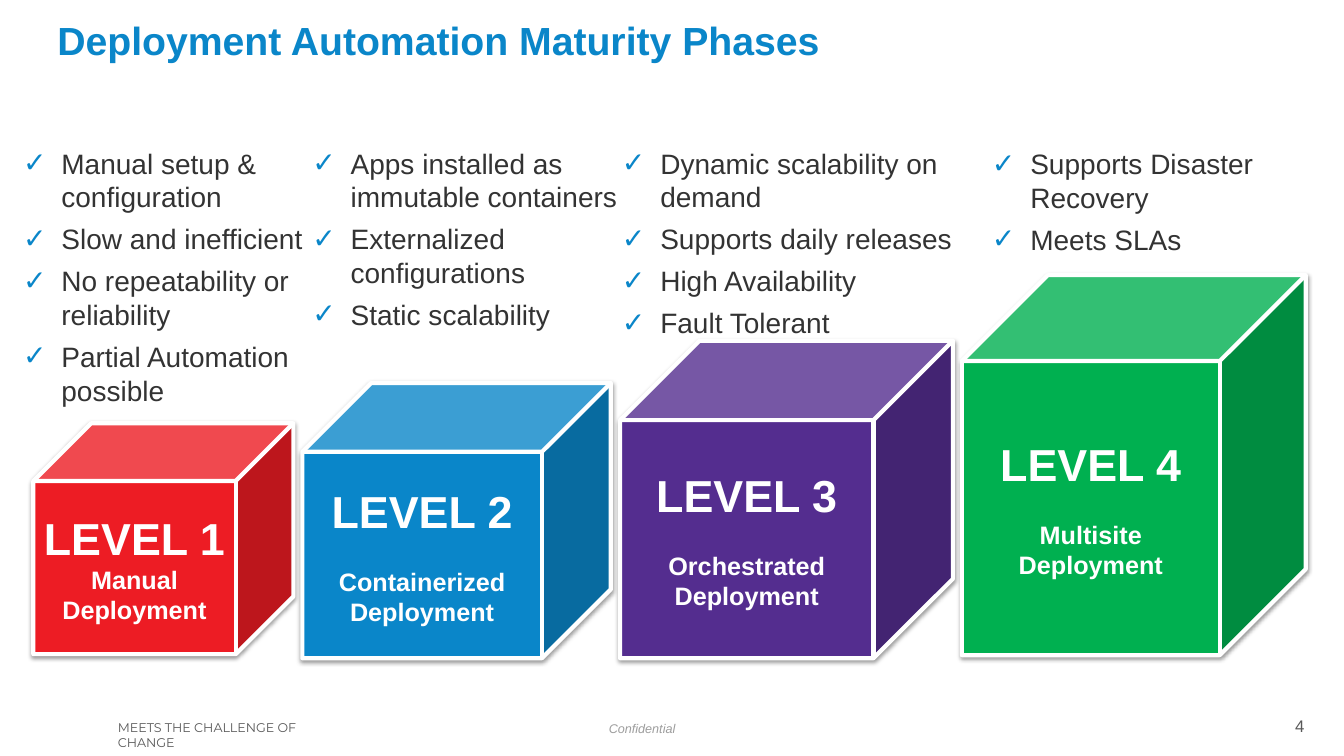
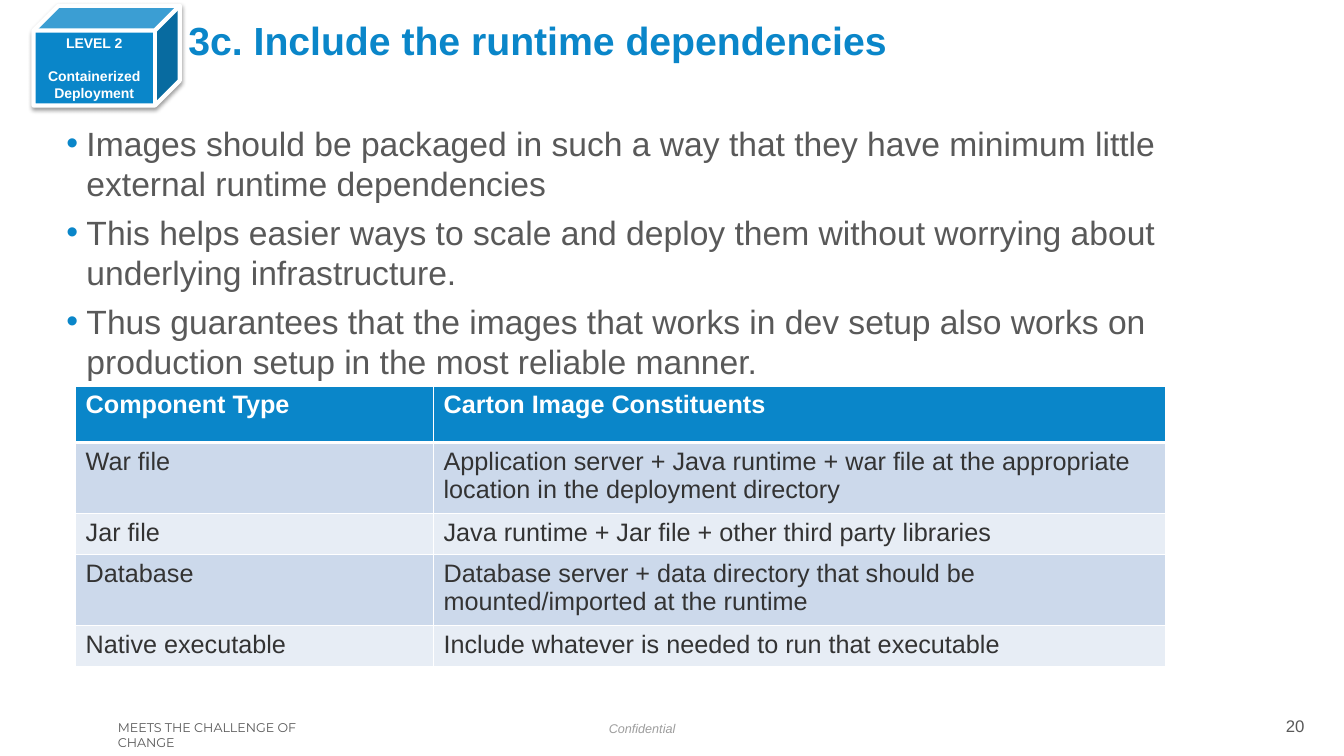
"""Build two slides on deployment automation maturity."""
from lxml.etree import SubElement
from pptx import Presentation
from pptx.dml.color import RGBColor
from pptx.enum.shapes import MSO_SHAPE
from pptx.enum.text import MSO_ANCHOR, PP_ALIGN
from pptx.oxml.ns import qn
from pptx.util import Inches, Pt

COLORS = {
    "blue": "0A86C9", "red": "ED1C24", "purple": "542D8F", "green": "00B050",
    "white": "FFFFFF", "dark": "333333", "gray": "595959", "light": "9D9D9D",
    "band_dark": "CCD9EB", "band_light": "E7EDF5",
}

deck = Presentation()
deck.slide_width, deck.slide_height = Inches(13.33), Inches(7.5)


def area(left, top, width, height):
    """Turn percentages of the slide into left, top, width and height."""
    across, down = deck.slide_width / 100, deck.slide_height / 100
    return int(left * across), int(top * down), int(width * across), int(height * down)


def write(frame, lines, size, color, font="Arial", bold=False, italic=False,
          align=PP_ALIGN.LEFT, bullet=None, indent=0):
    """Write one styled paragraph per line and return the paragraphs."""
    frame.word_wrap = True
    for index, line in enumerate(lines):
        para = frame.paragraphs[0] if index == 0 else frame.add_paragraph()
        para.text = line
        if bullet:
            properties = para._p.get_or_add_pPr()
            properties.set("marL", str(Inches(indent)))
            properties.set("indent", str(-Inches(indent)))
            bullet_color = SubElement(properties, qn("a:buClr"))
            SubElement(bullet_color, qn("a:srgbClr"), val=COLORS["blue"])
            SubElement(properties, qn("a:buFont"), typeface="Arial")
            SubElement(properties, qn("a:buChar"), char=bullet)
            para.space_after = Pt(6)
        para.alignment = align
        para.font.name, para.font.size = font, Pt(size)
        para.font.bold, para.font.italic = bold, italic
        para.font.color.rgb = RGBColor.from_string(COLORS[color])
    return frame.paragraphs


check_style = {"size": 20, "color": "dark", "bullet": "✓", "indent": 0.38}
dot_style = {"size": 24, "color": "gray", "bullet": "•", "indent": 0.2}
pages = [
    {
        "number": "4", "title": "Deployment Automation Maturity Phases", "title_left": 3.53,
        "list_style": check_style,
        "lists": [
            ((0.98, 18.67, 22.5, 35.2), [
                "Manual setup & configuration", "Slow and inefficient",
                "No repeatability or reliability", "Partial Automation possible"]),
            ((22.5, 18.67, 24.6, 29.3), [
                "Apps installed as immutable containers",
                "Externalized configurations", "Static scalability"]),
            ((45.54, 18.67, 27.46, 29.3), [
                "Dynamic scalability on demand", "Supports daily releases",
                "High Availability", "Fault Tolerant"]),
            ((73.07, 18.75, 24.83, 29.3), ["Supports Disaster Recovery", "Meets SLAs"]),
        ],
        "cubes": [
            ((2.48, 56, 19.35, 30.53), "red", "LEVEL 1", "Manual", 32, 18, 0),
            ((22.5, 50.67, 22.95, 36.4), "blue", "LEVEL 2", "Containerized", 32, 18, 21),
            ((46.14, 45.07, 24.76, 42), "purple", "LEVEL 3", "Orchestrated", 32, 18, 21),
            ((71.57, 36.4, 25.58, 50.27), "green", "LEVEL 4", "Multisite", 32, 18, 21),
        ],
    },
    {
        "number": "20", "title": "3c. Include the runtime dependencies", "title_left": 13.28,
        "list_style": dot_style,
        "lists": [
            ((4.2, 15.6, 84.4, 73.47), [
                "Images should be packaged in such a way that they have minimum little "
                "external runtime dependencies",
                "This helps easier ways to scale and deploy them without worrying about "
                "underlying infrastructure.",
                "Thus guarantees that the images that works in dev setup also works on "
                "production setup in the most reliable manner."]),
        ],
        "cubes": [((2.5, 0.75, 10.88, 13.2), "blue", "LEVEL 2", "Containerized", 10, 10, 11.5)],
    },
]

for content in pages:
    page = deck.slides.add_slide(deck.slide_layouts[6])
    left = content["title_left"]
    labels = [
        (content["number"], (92.4, 94, 5.4, 4),
         {"size": 12, "color": "gray", "align": PP_ALIGN.RIGHT}),
        ("Confidential", (44.56, 94.67, 6.53, 3.3),
         {"size": 9, "color": "light", "italic": True}),
        ("MEETS THE CHALLENGE OF CHANGE", (8.03, 94.53, 18.83, 3.3),
         {"size": 9, "color": "gray", "font": "Montserrat"}),
        (content["title"], (left, 1.2, 93.5 - left, 8.13),
         {"size": 28, "color": "blue", "bold": True}),
    ]
    for text, place, style in labels:
        box = page.shapes.add_textbox(*area(*place))
        write(box.text_frame, [text], **style)
    box.text_frame.vertical_anchor = MSO_ANCHOR.MIDDLE

    for place, lines in content["lists"]:
        box = page.shapes.add_textbox(*area(*place))
        write(box.text_frame, lines, **content["list_style"])

    for place, color, level, kind, level_size, kind_size, gap in content["cubes"]:
        cube = page.shapes.add_shape(MSO_SHAPE.CUBE, *area(*place))
        cube.fill.solid()
        cube.fill.fore_color.rgb = RGBColor.from_string(COLORS[color])
        cube.line.color.rgb = RGBColor.from_string(COLORS["white"])
        cube.line.width = Pt(3)
        cube.shadow.inherit = False
        effects = cube._element.spPr.find(qn("a:effectLst"))
        shadow = SubElement(effects, qn("a:outerShdw"), blurRad="40000", dist="20000",
                            dir="5400000", rotWithShape="0")
        shade = SubElement(shadow, qn("a:srgbClr"), val="000000")
        SubElement(shade, qn("a:alpha"), val="38000")
        cube.text_frame.vertical_anchor = MSO_ANCHOR.MIDDLE
        paragraphs = write(cube.text_frame, [level, kind, "Deployment"], kind_size, "white",
                           bold=True, align=PP_ALIGN.CENTER)
        paragraphs[0].font.size = Pt(level_size)
        paragraphs[1].space_before = Pt(gap)

rows = [
    ("Component Type", "Carton Image Constituents"),
    ("War file", "Application server + Java runtime + war file at the appropriate "
                 "location in the deployment directory"),
    ("Jar file", "Java runtime + Jar file + other third party libraries"),
    ("Database", "Database server + data directory that should be "
                 "mounted/imported at the runtime"),
    ("Native executable", "Include whatever is needed to run that executable"),
]
table = page.shapes.add_table(len(rows), 2, *area(5.63, 51.07, 81.1, 29.35)).table
table.horz_banding = False
for column, share in zip(table.columns, (26.63, 54.47)):
    column.width = int(deck.slide_width * share / 100)
for row_index, texts in enumerate(rows):
    header = row_index == 0
    table.rows[row_index].height = int(deck.slide_height * (7.47 if header else 5.47) / 100)
    fill = "blue" if header else ("band_light", "band_dark")[row_index % 2]
    for column_index, text in enumerate(texts):
        cell = table.cell(row_index, column_index)
        properties = cell._tc.get_or_add_tcPr()
        for side in ("lnL", "lnR", "lnT", "lnB"):
            thick = (header and side == "lnB") or (row_index == 1 and side == "lnT")
            border = SubElement(properties, qn(f"a:{side}"), w=str(Pt(3 if thick else 1)))
            paint = SubElement(border, qn("a:solidFill"))
            SubElement(paint, qn("a:srgbClr"), val=COLORS["white"])
        cell.fill.solid()
        cell.fill.fore_color.rgb = RGBColor.from_string(COLORS[fill])
        write(cell.text_frame, [text], 18, "white" if header else "dark", bold=header)

deck.save("out.pptx")
